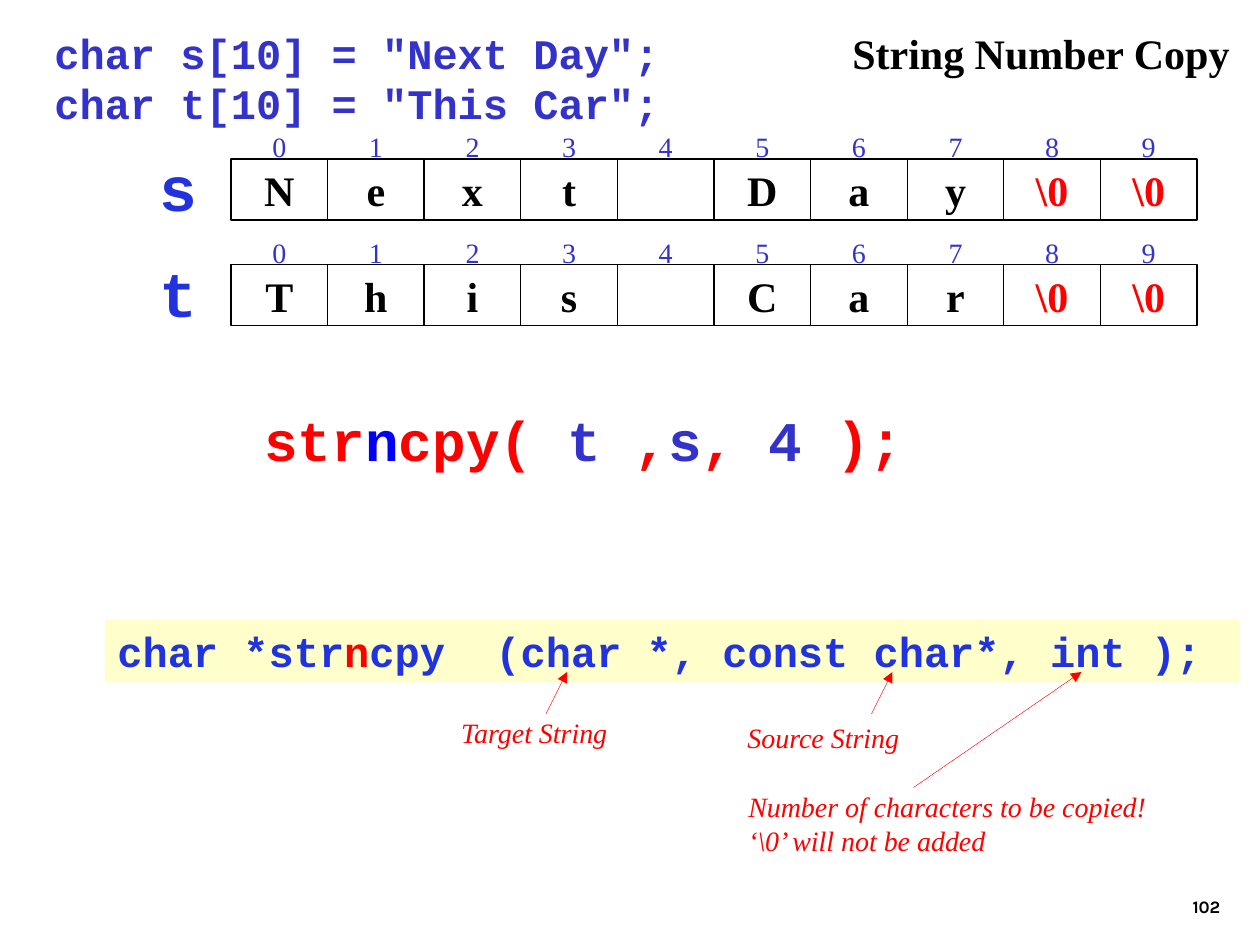
from lxml import etree
from pptx import Presentation
from pptx.dml.color import RGBColor
from pptx.enum.shapes import MSO_CONNECTOR, MSO_SHAPE
from pptx.enum.text import MSO_ANCHOR, PP_ALIGN
from pptx.oxml.ns import qn
from pptx.util import Pt

RECTANGLE = MSO_SHAPE.RECTANGLE
STRAIGHT = MSO_CONNECTOR.STRAIGHT
TOP, MIDDLE, BOTTOM = MSO_ANCHOR.TOP, MSO_ANCHOR.MIDDLE, MSO_ANCHOR.BOTTOM
LEFT, CENTER, RIGHT = PP_ALIGN.LEFT, PP_ALIGN.CENTER, PP_ALIGN.RIGHT

BLACK = RGBColor(0x00, 0x00, 0x00)
RED = RGBColor(0xFF, 0x00, 0x00)
BLUE = RGBColor(0x00, 0x00, 0xFF)
INDIGO = RGBColor(0x33, 0x33, 0xCC)
ROYAL = RGBColor(0x21, 0x33, 0xDF)
CREAM = RGBColor(0xFF, 0xFF, 0xCC)

CODE, SERIF, SANS = "Courier New", "Times New Roman", "Karla"


def write(shape, lines, font, size, bold=True, italic=False,
          align=LEFT, anchor=TOP, wrap=False):
    """Fill a shape with lines, each a list of (text, colour) runs."""
    frame = shape.text_frame
    frame.word_wrap = wrap
    frame.vertical_anchor = anchor
    for index, line in enumerate(lines):
        paragraph = frame.add_paragraph() if index else frame.paragraphs[0]
        paragraph.alignment = align
        for text, color in line:
            run = paragraph.add_run()
            run.text = text
            run.font.name = font
            run.font.size = Pt(size)
            run.font.bold = bold
            run.font.italic = italic
            run.font.color.rgb = color


def add_text(shapes, box, lines, font, size, **options):
    text_box = shapes.add_textbox(*map(Pt, box))
    write(text_box, lines, font, size, **options)
    return text_box


def add_rectangle(shapes, box):
    rectangle = shapes.add_shape(RECTANGLE, *map(Pt, box))
    rectangle.shadow.inherit = False
    rectangle.fill.background()
    rectangle.line.fill.background()
    return rectangle


def add_index_row(shapes, box, count):
    """Number the cells, one centred tab stop over the middle of each."""
    left, top, width, height = box
    labels = "".join(f"\t{index}" for index in range(count))
    row = add_text(shapes, box, [[(labels, INDIGO)]], SERIF, 16,
                   bold=False, anchor=MIDDLE, wrap=True)
    row.text_frame.margin_left = row.text_frame.margin_right = 0
    properties = row.text_frame.paragraphs[0]._p.get_or_add_pPr()
    stops = etree.SubElement(properties, qn("a:tabLst"))
    for index in range(count):
        position = Pt((index + 0.5) * width / count)
        etree.SubElement(stops, qn("a:tab"), pos=str(position), algn="ctr")


def add_array(slide, box, name, values):
    left, top, width, height = box
    cell_width = width / len(values)
    add_text(slide.shapes, (left - 48, top - 9.2, 36, 50), [[(name, ROYAL)]],
             CODE, 36, align=RIGHT)
    shapes = slide.shapes.add_group_shape().shapes
    add_index_row(shapes, (left, top - 24.5, width, height), len(values))
    for index, value in enumerate(values):
        cell = add_rectangle(
            shapes, (left + index * cell_width, top, cell_width, height))
        cell.line.color.rgb = BLACK
        cell.line.width = Pt(0.75)
        if value:
            color = RED if value == "\\0" else BLACK
            write(cell, [[(value, color)]], SERIF, 24,
                  align=CENTER, anchor=MIDDLE)


def add_arrow(slide, start, end):
    arrow = slide.shapes.add_connector(STRAIGHT, *map(Pt, start + end))
    arrow.line.color.rgb = RED
    arrow.line.width = Pt(0.25)
    etree.SubElement(arrow.line._get_or_add_ln(), qn("a:tailEnd"),
                     type="triangle")
    etree.SubElement(arrow._element.spPr, qn("a:effectLst"))


def add_header(slide, box):
    left, top, width, height = box
    declarations = ['char s[10] = "Next Day";', 'char t[10] = "This Car";']
    add_text(slide.shapes, (left, top, 534, height),
             [[(line, INDIGO)] for line in declarations], CODE, 24, wrap=True)
    add_text(slide.shapes, (left + width - 230.4, top, 230.4, 36),
             [[("String Number Copy", BLACK)]], SERIF, 24)


def add_call(slide, box):
    runs = [("str", RED), ("n", BLUE), ("cpy( ", RED), ("t ", INDIGO),
            (",", RED), ("s", INDIGO), (",", RED), (" 4 ", INDIGO),
            (");", RED)]
    add_text(slide.shapes, box, [runs], CODE, 32, wrap=True)


def add_prototype(slide, box):
    """Draw the prototype bar with its three explained parameters below."""
    left, top, width, height = box
    bar = add_rectangle(slide.shapes, box)
    bar.fill.solid()
    bar.fill.fore_color.rgb = CREAM
    write(bar, [[("char *str", ROYAL), ("n", RED),
                 ("cpy  (char *, const char*, int );", ROYAL)]], CODE, 24)

    notes = [
        ((196.5, 51.2, 100, 26.6), ["Target String"], (252, 54), (264, 30)),
        ((360, 54, 101.5, 26.6), ["Source String"], (438, 54), (450, 30)),
        ((360.5, 93.8, 242, 46),
         ["Number of characters to be copied!", "‘\\0’ will not be added"],
         (462, 96), (558, 30)),
    ]
    for (x, y, note_width, note_height), lines, start, end in notes:
        add_text(slide.shapes, (left + x, top + y, note_width, note_height),
                 [[(line, RED)] for line in lines], SERIF, 16,
                 bold=False, italic=True)
        add_arrow(slide, (left + start[0], top + start[1]),
                  (left + end[0], top + end[1]))


def add_page_number(slide, box):
    add_text(slide.shapes, box, [[("102", BLACK)]], SANS, 10,
             align=RIGHT, anchor=BOTTOM, wrap=True)


def main():
    presentation = Presentation()
    presentation.slide_width, presentation.slide_height = Pt(720), Pt(540)
    slide = presentation.slides.add_slide(presentation.slide_layouts[6])

    add_page_number(slide, (554.4, 491.8, 150, 36))
    add_header(slide, (24, 12, 686.4, 93.6))
    terminators = ["\\0", "\\0"]
    arrays = {"s": "Next Day", "t": "This Car"}
    for index, (name, text) in enumerate(arrays.items()):
        values = [character.strip() for character in text] + terminators
        add_array(slide, (132, 90.8 + index * 60.4, 552, 35), name, values)
    add_call(slide, (144, 228, 402, 75))
    add_prototype(slide, (60, 354, 648, 36))

    presentation.save("out.pptx")


if __name__ == "__main__":
    main()
